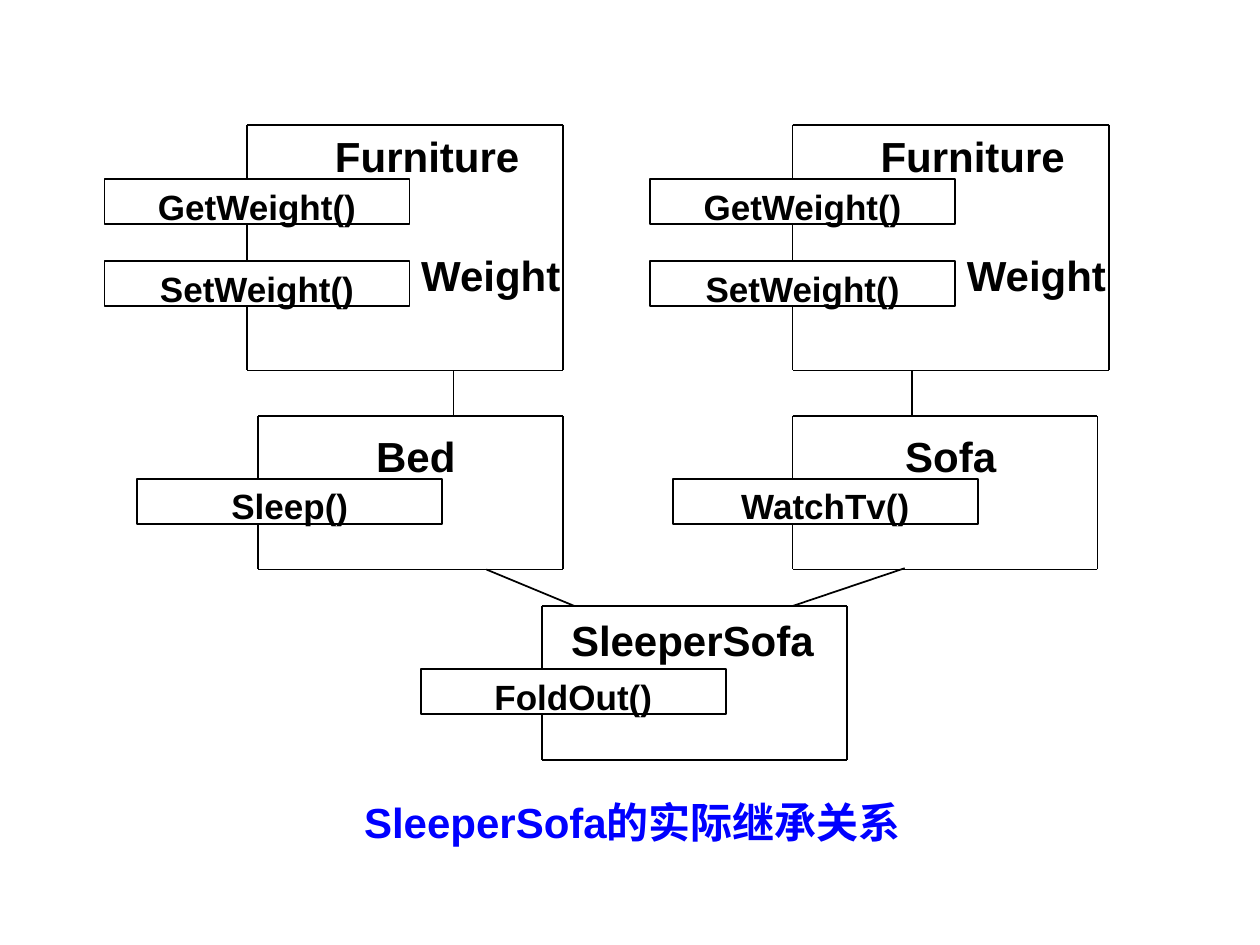
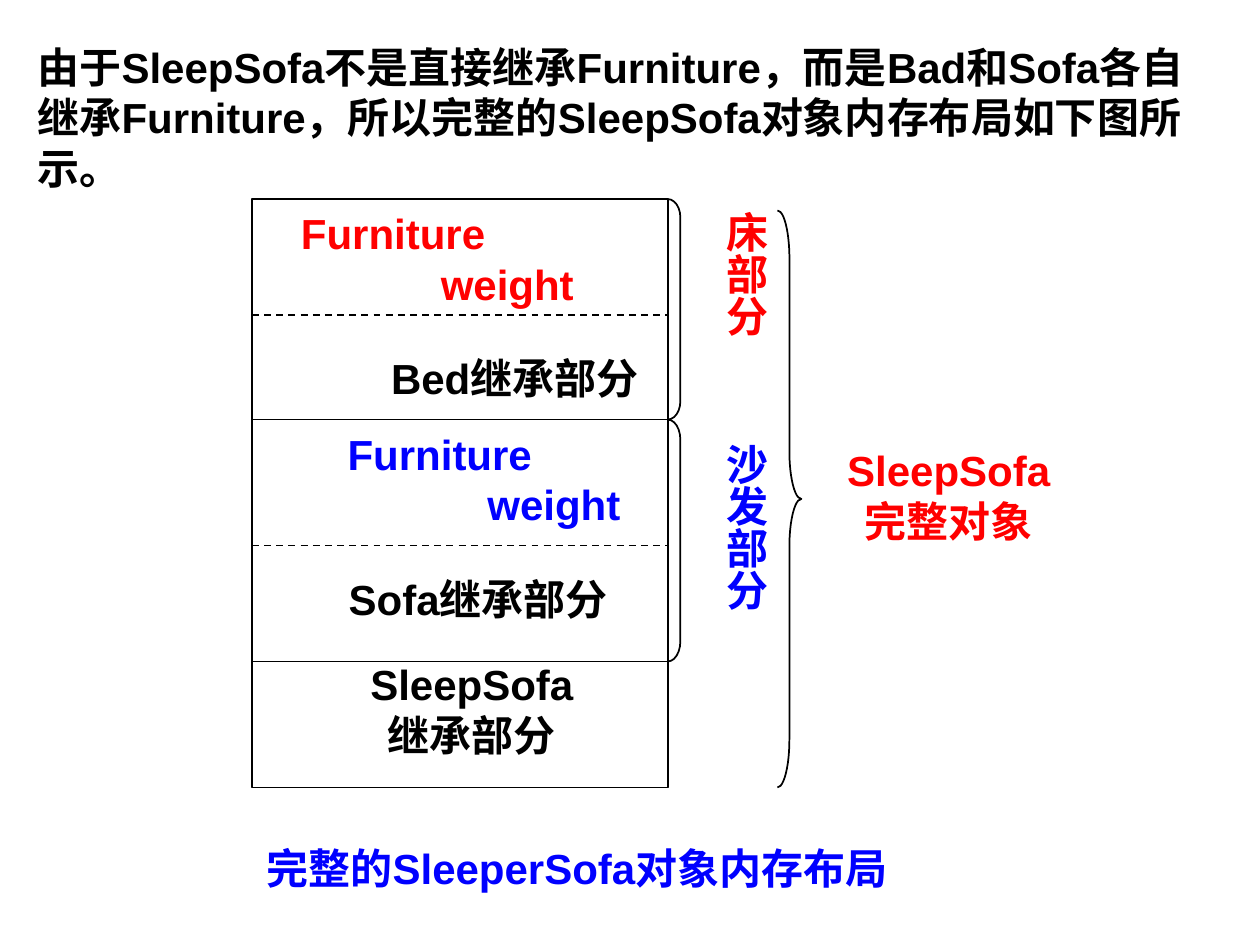
from dataclasses import dataclass

from lxml.etree import SubElement
from pptx import Presentation
from pptx.dml.color import RGBColor
from pptx.enum.dml import MSO_LINE
from pptx.enum.shapes import MSO_CONNECTOR, MSO_SHAPE
from pptx.enum.text import MSO_ANCHOR, MSO_AUTO_SIZE, PP_ALIGN
from pptx.oxml.ns import qn
from pptx.util import Inches, Pt

BLACK = RGBColor(0, 0, 0)
RED = RGBColor(255, 0, 0)
BLUE = RGBColor(0, 0, 255)

FONT = "Arial"
TEXT_SIZE = 24
METHOD_SIZE = 20
LINE_WIDTH = Pt(1)
BLANK_LAYOUT = 6


@dataclass(frozen=True)
class Box:
    left: float
    top: float
    width: float
    height: float

    @property
    def right(self) -> float:
        return self.left + self.width

    @property
    def bottom(self) -> float:
        return self.top + self.height

    def lengths(self) -> list:
        return [Inches(n) for n in (self.left, self.top, self.width, self.height)]


@dataclass(frozen=True)
class Label:
    box: Box
    lines: tuple[str, ...]
    color: RGBColor = BLACK
    align: PP_ALIGN = PP_ALIGN.CENTER
    indents: tuple[float, ...] = ()
    margin: float = 0.1
    vertical: bool = False
    line_spacing: float = 1.0


@dataclass(frozen=True)
class ClassDiagram:
    frame: Box
    labels: tuple[Label, ...]
    methods: tuple[Label, ...]


# Shared drawing functions
def fill_text(text_frame, label: Label, size: int) -> None:
    text_frame.word_wrap = True
    text_frame.vertical_anchor = MSO_ANCHOR.TOP
    along, across = Inches(label.margin), Inches(0.05)
    if label.vertical:
        along, across = across, along
        text_frame._txBody.bodyPr.set("vert", "eaVert")
    text_frame.margin_left = text_frame.margin_right = along
    text_frame.margin_top = text_frame.margin_bottom = across
    text_frame.text = "\n".join(label.lines)
    for paragraph in text_frame.paragraphs:
        paragraph.alignment = label.align
        paragraph.line_spacing = label.line_spacing
        if len(label.lines) == 1 and label.line_spacing == 1:
            paragraph.space_before = Pt(size * 0.625)
        font = paragraph.font
        font.name, font.size, font.bold = FONT, Pt(size), True
        font.color.rgb = label.color
    for paragraph, indent in zip(text_frame.paragraphs, label.indents):
        paragraph._p.get_or_add_pPr().set("marL", str(Inches(indent)))


def add_label(slide, label: Label) -> None:
    text_frame = slide.shapes.add_textbox(*label.box.lengths()).text_frame
    fill_text(text_frame, label, TEXT_SIZE)
    # Fitting would shrink a vertical box and move its centred text
    if not label.vertical:
        text_frame.auto_size = MSO_AUTO_SIZE.SHAPE_TO_FIT_TEXT


def add_outline(slide, box: Box, kind: MSO_SHAPE = MSO_SHAPE.RECTANGLE):
    shape = slide.shapes.add_shape(kind, *box.lengths())
    shape.shadow.inherit = False
    shape.line.color.rgb = BLACK
    shape.line.width = LINE_WIDTH
    shape.fill.background()
    return shape


def add_line(slide, x1: float, y1: float, x2: float, y2: float, dashed: bool = False) -> None:
    ends = [Inches(n) for n in (x1, y1, x2, y2)]
    connector = slide.shapes.add_connector(MSO_CONNECTOR.STRAIGHT, *ends)
    connector.line.color.rgb = BLACK
    connector.line.width = LINE_WIDTH
    if dashed:
        connector.line.dash_style = MSO_LINE.DASH
    SubElement(connector._element.spPr, qn("a:effectLst"))


def add_right_mark(slide, box: Box, kind: MSO_SHAPE) -> None:
    mark = add_outline(slide, box, kind)
    mark.adjustments[0] = box.height / 12 / box.width


# Class hierarchy slide
def name_label(name: str, left: float, top: float, width: float) -> Label:
    return Label(Box(left, top, width, 0.5), (name,), margin=0.06)


def method_label(name: str, left: float, top: float) -> Label:
    return Label(Box(left, top, 2.42, 0.36), (name,), margin=0.06)


def furniture(left: float) -> ClassDiagram:
    return ClassDiagram(
        Box(left, 0.99, 2.51, 1.95),
        (name_label("Furniture", left + 0.52, 0.99, 1.82),
         name_label("Weight", left + 1.24, 1.93, 1.39)),
        (method_label("GetWeight()", left - 1.13, 1.42),
         method_label("SetWeight()", left - 1.13, 2.07)),
    )


def derived(left: float, top: float, label: Label,
            method: str, method_left: float) -> ClassDiagram:
    return ClassDiagram(Box(left, top, 2.42, 1.22), (label,),
                        (method_label(method, method_left, top + 0.5),))


def add_class(slide, diagram: ClassDiagram) -> None:
    frame = diagram.frame
    for method in diagram.methods:
        shape = add_outline(slide, method.box)
        fill_text(shape.text_frame, method, METHOD_SIZE)

    # The left side is interrupted by the method boxes
    starts = [frame.top] + [method.box.bottom for method in diagram.methods]
    stops = [method.box.top for method in diagram.methods] + [frame.bottom]
    for start, stop in zip(starts, stops):
        add_line(slide, frame.left, start, frame.left, stop)
    add_line(slide, frame.left, frame.top, frame.right, frame.top)
    add_line(slide, frame.right, frame.top, frame.right, frame.bottom)
    add_line(slide, frame.right, frame.bottom, frame.left, frame.bottom)

    for label in diagram.labels:
        add_label(slide, label)


def build_hierarchy(slide) -> None:
    classes = (
        furniture(1.96),
        furniture(6.29),
        derived(2.05, 3.3, name_label("Bed", 2.48, 3.37, 1.64), "Sleep()", 1.09),
        derived(6.29, 3.3, name_label("Sofa", 6.72, 3.37, 1.65), "WatchTv()", 5.34),
        derived(4.3, 4.81, name_label("SleeperSofa", 4.39, 4.83, 2.21), "FoldOut()", 3.34),
    )
    for diagram in classes:
        add_class(slide, diagram)

    # Inheritance links
    for link in ((3.6, 2.94, 3.6, 3.3), (7.24, 2.94, 7.24, 3.3),
                 (7.18, 4.51, 6.29, 4.81), (3.86, 4.52, 4.56, 4.81)):
        add_line(slide, *link)
    add_label(slide, Label(Box(1.7, 6.27, 6.64, 0.5), ("SleeperSofa的实际继承关系",), BLUE))


# Memory layout slide
def build_memory_layout(slide) -> None:
    memory = Box(2, 1.58, 3.3, 4.67)
    bed_bottom, sofa_bottom = 3.33, 5.25
    add_outline(slide, memory)
    for y, dashed in ((2.5, True), (bed_bottom, False), (4.33, True), (sofa_bottom, False)):
        add_line(slide, memory.left, y, memory.right, y, dashed)

    # Brackets for the two parts, brace for the whole object
    for top, bottom in ((memory.top, bed_bottom), (bed_bottom, sofa_bottom)):
        add_right_mark(slide, Box(memory.right, top, 0.1, bottom - top),
                       MSO_SHAPE.RIGHT_BRACKET)
    add_right_mark(slide, Box(6.17, 1.67, 0.19, memory.bottom - 1.67), MSO_SHAPE.RIGHT_BRACE)

    weight_lines = ("Furniture", "weight")
    labels = (
        Label(Box(2.29, 1.6, 2.72, 0.9), weight_lines, RED, PP_ALIGN.LEFT, (0, 1.11)),
        Label(Box(2.58, 2.75, 3.01, 0.5), ("Bed继承部分",)),
        Label(Box(2.39, 3.35, 2.91, 0.9), weight_lines, BLUE, PP_ALIGN.LEFT, (0.27, 1.38)),
        Label(Box(2.39, 4.5, 2.81, 0.5), ("Sofa继承部分",)),
        Label(Box(2.29, 5.18, 2.91, 0.9), ("SleepSofa", "继承部分")),
        Label(Box(5.57, 1.58, 0.6, 1.75), ("床部分",), RED, vertical=True),
        Label(Box(5.57, 3.42, 0.6, 1.83), ("沙发部分",), BLUE, vertical=True),
        Label(Box(6.56, 3.48, 1.94, 0.9), ("SleepSofa", "完整对象"), RED),
        Label(Box(1.08, 6.75, 7, 0.38), ("完整的SleeperSofa对象内存布局",), BLUE,
              margin=0.06, line_spacing=0.7),
        Label(Box(0.2, 0.28, 9.58, 1.3),
              ("由于SleepSofa不是直接继承Furniture，而是Bad和Sofa各自继承Furniture，"
               "所以完整的SleepSofa对象内存布局如下图所示。",), align=PP_ALIGN.LEFT),
    )
    for label in labels:
        add_label(slide, label)


def main() -> None:
    presentation = Presentation()
    presentation.slide_width = Inches(10)
    presentation.slide_height = Inches(7.5)
    layout = presentation.slide_layouts[BLANK_LAYOUT]
    for build in (build_hierarchy, build_memory_layout):
        build(presentation.slides.add_slide(layout))
    presentation.save("out.pptx")


if __name__ == "__main__":
    main()
